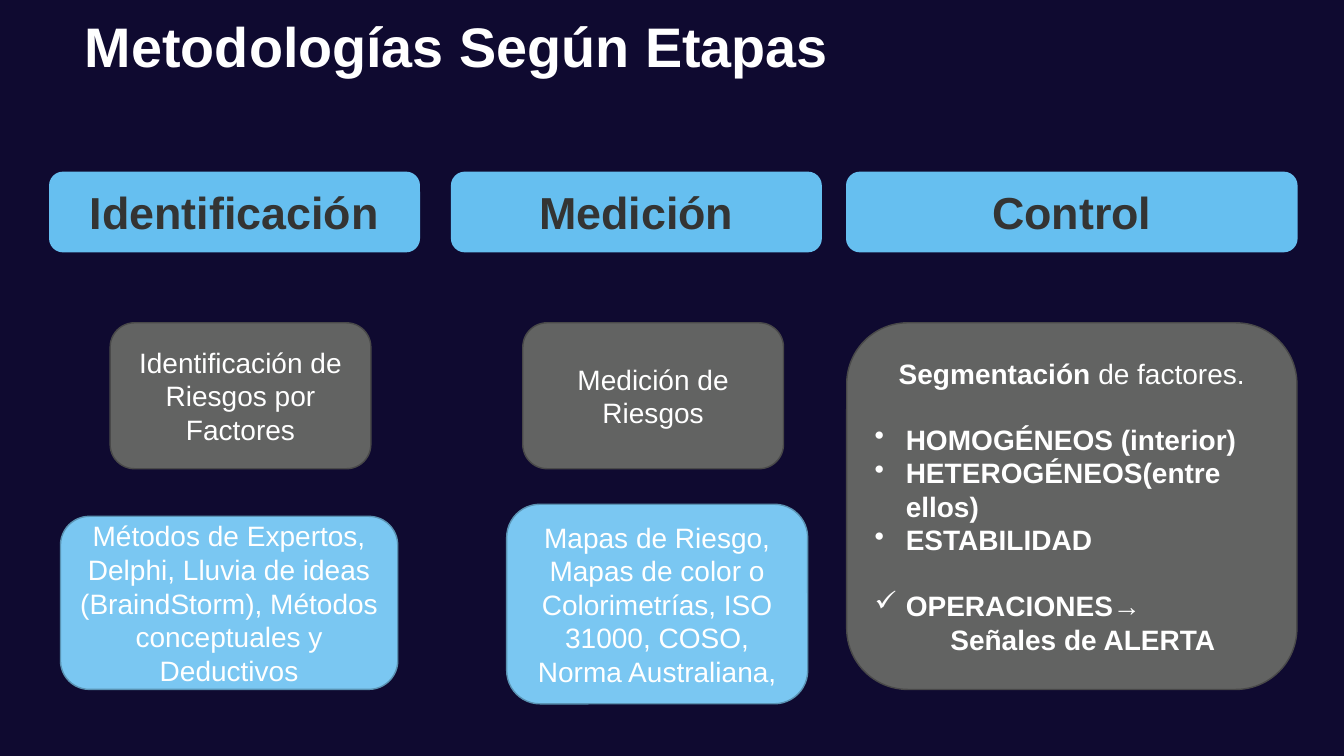
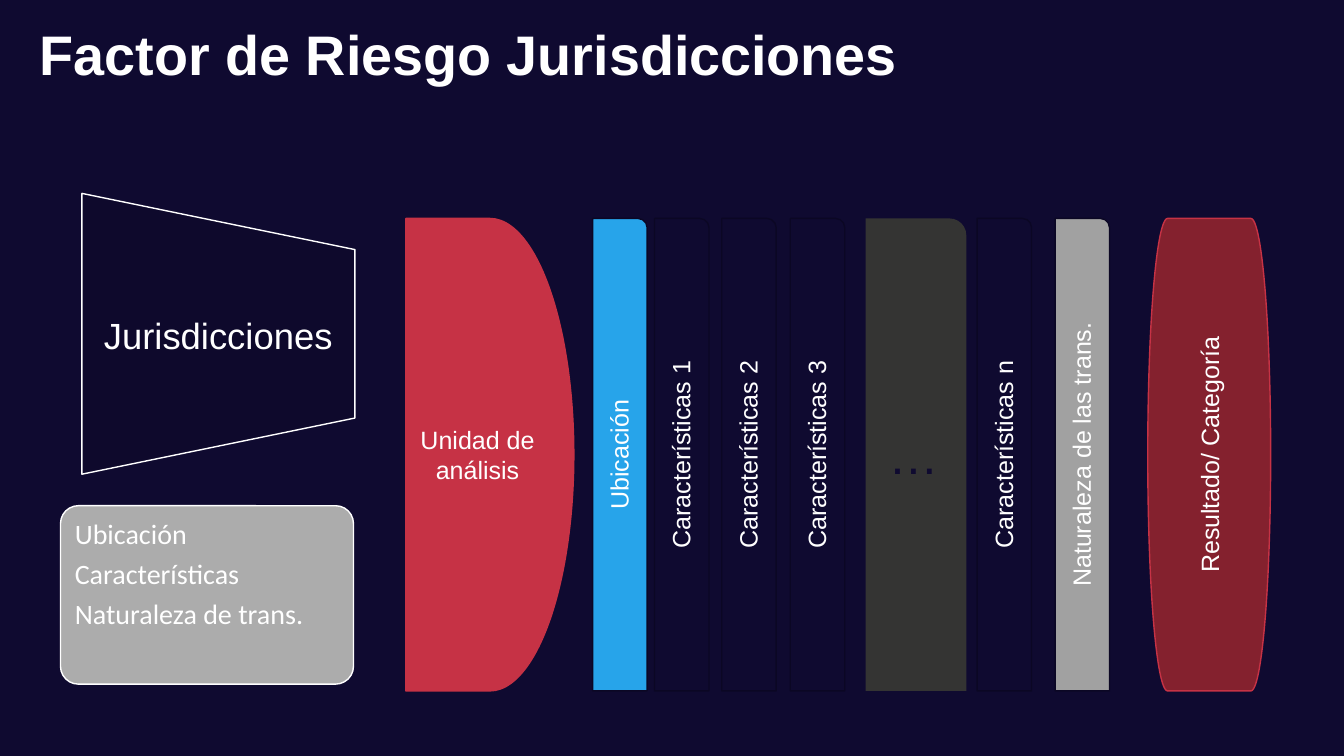
from lxml import etree
from pptx import Presentation
from pptx.dml.color import RGBColor
from pptx.enum.shapes import MSO_SHAPE as SHAPE
from pptx.enum.text import MSO_ANCHOR as ANCHOR, MSO_AUTO_SIZE as AUTOSIZE, PP_ALIGN as ALIGN
from pptx.oxml.ns import qn
from pptx.util import Inches, Pt

# Shared palette and grid: 100 columns by 100 rows
rgb = RGBColor.from_string
NIGHT, WHITE, CHARCOAL = "0F0A30", "FFFFFF", "343433"
SKY, PALE_SKY, SKY_EDGE = "66BFF0", "7AC7F2", "5A93B3"
GRAY, GRAY_EDGE, STRIP_EDGE = "626362", "494949", "0B0724"
RED, DARK_RED = "C63245", "84212E"

prs = Presentation()
prs.slide_width, prs.slide_height = Inches(13.33), Inches(7.5)
COL, ROW = prs.slide_width / 100, prs.slide_height / 100
background = prs.slide_master.background.fill
background.solid()
background.fore_color.rgb = rgb(NIGHT)


def add_run(p, text, size, color=WHITE, bold=False, font="Arial"):
    r = p.add_run()
    r.text = text
    r.font.name, r.font.size, r.font.bold = font, Pt(size), bold
    r.font.color.rgb = rgb(color)


def add_box(s, kind, x, y, w, h, fill, line=None):
    sp = s.shapes.add_shape(kind, int(x * COL), int(y * ROW), int(w * COL), int(h * ROW))
    sp.shadow.inherit = False
    sp.fill.solid()
    sp.fill.fore_color.rgb = rgb(fill)
    if line:
        sp.line.color.rgb = rgb(line)
        sp.line.width = Pt(1)
    else:
        sp.line.fill.background()
    tf = sp.text_frame
    tf.word_wrap = True
    tf.vertical_anchor = ANCHOR.MIDDLE
    tf.paragraphs[0].alignment = ALIGN.CENTER
    return sp


# Slides and titles
slides = []
for text, x, y, w, h, align, anchor in [
    ("Metodologías Según Etapas", 0, 0.9, 68, 12.1, ALIGN.CENTER, ANCHOR.TOP),
    ("Factor de Riesgo Jurisdicciones", 2.2, 3.5, 78.4, 7.2, ALIGN.LEFT, ANCHOR.MIDDLE),
]:
    s = prs.slides.add_slide(prs.slide_layouts[5])
    sp = s.shapes.title
    sp.left, sp.top, sp.width, sp.height = int(x * COL), int(y * ROW), int(w * COL), int(h * ROW)
    tf = sp.text_frame
    tf.auto_size, tf.vertical_anchor, tf.word_wrap = AUTOSIZE.NONE, anchor, True
    tf.paragraphs[0].alignment = align
    add_run(tf.paragraphs[0], text, 39.8, bold=True)
    slides.append(s)
stages, factors = slides

# Stage headers
for text, x, w in [("Identificación", 3.7, 27.5), ("Medición", 33.6, 27.5), ("Control", 63, 33.5)]:
    sp = add_box(stages, SHAPE.ROUNDED_RECTANGLE, x, 22.8, w, 10.5, SKY, SKY)
    add_run(sp.text_frame.paragraphs[0], text, 32, CHARCOAL, True)

# Activities and their methods
for text, x, y, w, h, fill, line in [
    ("Identificación de Riesgos por Factores", 8.2, 42.7, 19.4, 19.3, GRAY, GRAY_EDGE),
    ("Medición de Riesgos", 38.9, 42.7, 19.4, 19.3, GRAY, GRAY_EDGE),
    ("Métodos de Expertos, Delphi, Lluvia de ideas (BraindStorm), Métodos conceptuales "
     "y Deductivos", 4.5, 68.3, 25.1, 22.9, PALE_SKY, SKY_EDGE),
    ("Mapas de Riesgo, Mapas de color o Colorimetrías, ISO 31000, COSO, Norma Australiana,",
     37.7, 66.7, 22.4, 26.4, PALE_SKY, SKY_EDGE),
]:
    sp = add_box(stages, SHAPE.ROUNDED_RECTANGLE, x, y, w, h, fill, line)
    add_run(sp.text_frame.paragraphs[0], text, 20)

# Control panel with bulleted criteria
tf = add_box(stages, SHAPE.ROUNDED_RECTANGLE, 63, 42.7, 33.5, 48.5, GRAY, GRAY_EDGE).text_frame
add_run(tf.paragraphs[0], "Segmentación", 20, bold=True)
add_run(tf.paragraphs[0], " de factores.", 20)
for text, bullet, before in [
    ("HOMOGÉNEOS (interior)", "•", 23),
    ("HETEROGÉNEOS(entre ellos)", "•", 0),
    ("ESTABILIDAD", "•", 0),
    ("OPERACIONES→", "✓", 23),
    ("Señales de ALERTA", None, 0),
]:
    p = tf.add_paragraph()
    p.space_before = Pt(before)
    p.alignment = ALIGN.LEFT if bullet else ALIGN.CENTER
    pPr = p._p.get_or_add_pPr()
    pPr.set("marL", str(Inches(0.31 if bullet else 0.22)))
    if bullet:
        pPr.set("indent", str(-Inches(0.31)))
        etree.SubElement(pPr, qn("a:buChar")).set("char", bullet)
    add_run(p, text, 20, bold=True)

# Jurisdiction funnel and its label
sp = add_box(factors, SHAPE.FLOWCHART_MANUAL_OPERATION, 5.8, 26.1, 20.9, 36.1, "0E092C", WHITE)
sp.rotation = 270
sp = factors.shapes.add_textbox(int(6.1 * COL), int(33.1 * ROW), int(20.3 * COL), int(22.3 * ROW))
tf = sp.text_frame
tf.word_wrap, tf.vertical_anchor = True, ANCHOR.MIDDLE
tf.margin_left = tf.margin_right = Inches(0.15)
tf.paragraphs[0].alignment = ALIGN.CENTER
add_run(tf.paragraphs[0], "Jurisdicciones", 26)

# Attribute list
sp = add_box(factors, SHAPE.ROUNDED_RECTANGLE, 4.5, 66.9, 21.8, 23.6, "ACACAC", WHITE)
sp.adjustments[0] = 0.1
tf = sp.text_frame
tf.vertical_anchor = ANCHOR.TOP
tf.margin_left = tf.margin_top = Inches(0.09)
for i, text in enumerate(["Ubicación", "Características", "Naturaleza de trans."]):
    p = tf.add_paragraph() if i else tf.paragraphs[0]
    p.alignment, p.line_spacing, p.space_after = ALIGN.LEFT, 0.9, Pt(7)
    add_run(p, text, 20, font="Calibri")

# Upright blocks from unit of analysis to result
STRIP = SHAPE.ROUND_1_RECTANGLE
for text, kind, x, w, fill, line, size, color, vertical in [
    ("Unidad de análisis", SHAPE.FLOWCHART_DELAY, 30.2, 12.5, RED, RED, 17.9, WHITE, False),
    ("Ubicación", STRIP, 44.1, 4.05, "27A4EA", STRIP_EDGE, 17.9, WHITE, True),
    ("Características 1", STRIP, 48.7, 4.05, NIGHT, STRIP_EDGE, 17.9, WHITE, True),
    ("Características 2", STRIP, 53.7, 4.05, NIGHT, STRIP_EDGE, 17.9, WHITE, True),
    ("Características 3", STRIP, 58.8, 4.05, NIGHT, STRIP_EDGE, 17.9, WHITE, True),
    ("…", STRIP, 64.4, 7.5, CHARCOAL, None, 35.9, NIGHT, False),
    ("Características n", STRIP, 72.7, 4.05, NIGHT, STRIP_EDGE, 17.9, WHITE, True),
    ("Naturaleza de las trans.", STRIP, 78.5, 4.05, "A1A1A1", STRIP_EDGE, 17.9, WHITE, True),
    ("Resultado/ Categoría", SHAPE.FLOWCHART_TERMINATOR, 85.4, 9.15, DARK_RED, RED, 17.9, WHITE,
     True),
]:
    sp = add_box(factors, kind, x, 28.9, w, 62.5, fill, line)
    if vertical:
        sp.text_frame._txBody.bodyPr.set("vert", "vert270")
    add_run(sp.text_frame.paragraphs[0], text, size, color)

prs.save("out.pptx")
